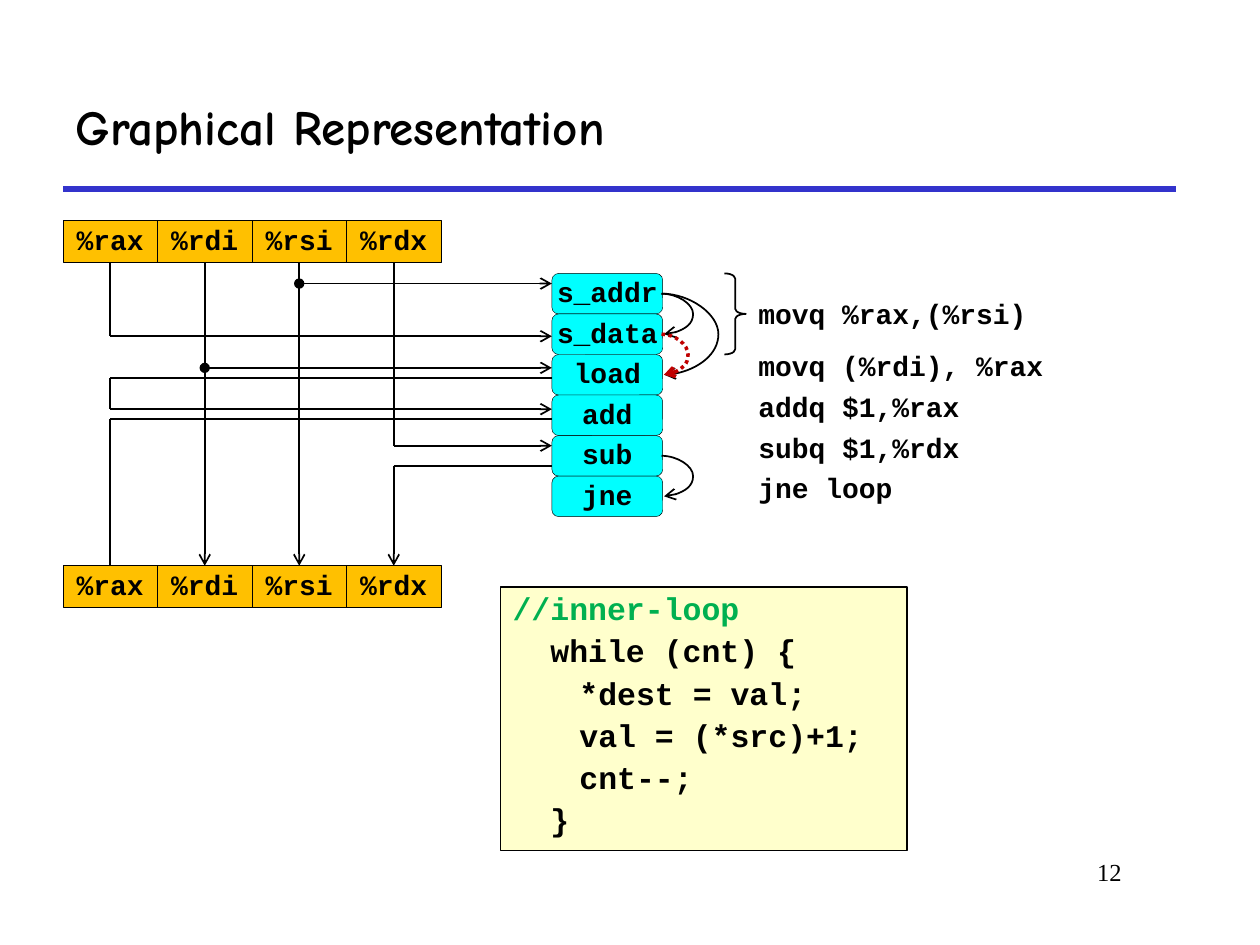
from collections import namedtuple

from lxml import etree
from pptx import Presentation
from pptx.dml.color import RGBColor
from pptx.enum.dml import MSO_LINE
from pptx.enum.shapes import MSO_CONNECTOR, MSO_SHAPE
from pptx.enum.text import MSO_ANCHOR, PP_ALIGN
from pptx.oxml.ns import qn
from pptx.util import Inches, Pt

STRAIGHT, CURVE = MSO_CONNECTOR.STRAIGHT, MSO_CONNECTOR.CURVE
RECT, ROUNDED, BRACE = MSO_SHAPE.RECTANGLE, MSO_SHAPE.ROUNDED_RECTANGLE, MSO_SHAPE.RIGHT_BRACE
LEFT, CENTER, RIGHT = PP_ALIGN.LEFT, PP_ALIGN.CENTER, PP_ALIGN.RIGHT
MIDDLE, TOP = MSO_ANCHOR.MIDDLE, MSO_ANCHOR.TOP
DOTTED = MSO_LINE.ROUND_DOT

BLACK = RGBColor(0x00, 0x00, 0x00)
RULE_BLUE = RGBColor(0x33, 0x33, 0xCC)
REGISTER_GOLD = RGBColor(0xFF, 0xC0, 0x00)
UNIT_CYAN = RGBColor(0x00, 0xFF, 0xFF)
CODE_CREAM = RGBColor(0xFF, 0xFF, 0xCC)
COMMENT_GREEN = RGBColor(0x00, 0xB0, 0x50)
DEPENDENCY_RED = RGBColor(0xC0, 0x00, 0x00)

CODE_FONT = "Courier New"
REGISTERS = ["%rax", "%rdi", "%rsi", "%rdx"]
UNITS = ["s_addr", "s_data", "load", "add", "sub", "jne"]
LOOP_CODE = ["//inner-loop", "  while (cnt) {", "\t *dest = val;",
             " \t val = (*src)+1;", "\t cnt--;", "  }"]

Box = namedtuple("Box", "left top width height")
TITLE = Box(0.5, 0.5, 8.83, 1)
REGISTERS_IN = Box(0.5, 1.75, 3, 0.33)
REGISTERS_OUT = REGISTERS_IN._replace(top=4.49)
STACK = Box(4.38, 2.17, 0.88, 1.93)
INSTRUCTIONS = Box(5.92, 2.34, 3.75, 1.71)
LOOP = Box(3.97, 4.66, 3.23, 2.09)
PAGE_NUMBER = Box(7.58, 6.75, 1.42, 0.5)
ROW = STACK.height / len(UNITS)


def inches(*lengths):
    return [Inches(length) for length in lengths]


def style_paragraph(paragraph, size, font=CODE_FONT, align=LEFT, bold=True, color=BLACK):
    paragraph.alignment = align
    paragraph.font.name, paragraph.font.size = font, Pt(size)
    paragraph.font.bold, paragraph.font.color.rgb = bold, color


def add_cell(slide, preset, box, fill, weight):
    cell = slide.shapes.add_shape(preset, *inches(*box))
    cell.shadow.inherit = False
    cell.fill.solid()
    cell.fill.fore_color.rgb = fill
    cell.line.color.rgb, cell.line.width = BLACK, Pt(weight)
    return cell


def add_label_cell(slide, preset, box, fill, label):
    frame = add_cell(slide, preset, box, fill, 0.25).text_frame
    frame.margin_left = frame.margin_right = frame.margin_top = frame.margin_bottom = 0
    frame.vertical_anchor = MIDDLE
    frame.text = label
    frame.paragraphs[0].line_spacing = 0.9
    style_paragraph(frame.paragraphs[0], 16, align=CENTER)


def add_text(slide, box, text, anchor, **style):
    frame = slide.shapes.add_textbox(*inches(*box)).text_frame
    frame.word_wrap = True
    frame.vertical_anchor = anchor
    frame.text = text
    style_paragraph(frame.paragraphs[0], **style)
    return frame.paragraphs[0]


def add_wire(slide, start, end, head=None, tail=None, kind=STRAIGHT,
             color=BLACK, weight=1, dash=None):
    wire = slide.shapes.add_connector(kind, *inches(*start, *end))
    wire.line.color.rgb, wire.line.width = color, Pt(weight)
    if dash:
        wire.line.dash_style = dash
    properties = wire._element.spPr
    outline = properties.find(qn("a:ln"))
    for tag, mark in (("a:headEnd", head), ("a:tailEnd", tail)):
        if mark:
            etree.SubElement(outline, qn(tag), type=mark)
    etree.SubElement(properties, qn("a:effectLst"))
    return wire


def add_dependency(slide, stack, first_row, last_row, bulge, **style):
    """Curved arrow on the right of the stack, between two rows."""
    left, run = stack.left + stack.width - 0.01, 0.02
    arc = add_wire(slide, (left, stack.top + first_row * ROW),
                   (left + run, stack.top + last_row * ROW),
                   tail="arrow", kind=CURVE, **style)
    guides = arc._element.spPr.find(qn("a:prstGeom")).get_or_add_avLst()
    etree.SubElement(guides, qn("a:gd"), name="adj1",
                     fmla=f"val {round(bulge / run * 100000)}")


def add_title(slide, box):
    title = slide.shapes.title
    title.left, title.top, title.width, title.height = inches(*box)
    title.text_frame.text = "Graphical Representation"
    title.text_frame.vertical_anchor = MIDDLE
    style_paragraph(title.text_frame.paragraphs[0], 28, font="Comic Neue")
    base = box.top + box.height
    add_wire(slide, (box.left, base), (box.left + box.width, base),
             color=RULE_BLUE, weight=3)


def add_registers(slide, box):
    width = box.width / len(REGISTERS)
    for column, register in enumerate(REGISTERS):
        cell = box._replace(left=box.left + column * width, width=width)
        add_label_cell(slide, RECT, cell, REGISTER_GOLD, register)


def add_units(slide, stack):
    for row, unit in enumerate(UNITS):
        cell = stack._replace(top=stack.top + row * ROW, height=ROW)
        add_label_cell(slide, ROUNDED, cell, UNIT_CYAN, unit)


def add_data_flow(slide, source, target, stack):
    """Wires from the upper registers through the units to the lower ones."""
    width = source.width / len(REGISTERS)
    rax, rdi, rsi, rdx = (source.left + (column + 0.5) * width
                          for column in range(len(REGISTERS)))
    start, end = source.top + source.height, target.top

    def level(row):
        return stack.top + row * ROW

    drops = [(rax, start, level(1.55), None), (rdi, start, end, "arrow"),
             (rsi, start, end, "arrow"), (rdx, start, level(4.25), None),
             (rax, level(2.58), level(3.35), None), (rax, level(3.6), end, None),
             (rdx, level(4.75), end, "arrow")]
    for x, top, bottom, tail in drops:
        add_wire(slide, (x, top), (x, bottom), tail=tail)

    branches = [(rsi, 0.25, "oval", "arrow"), (rax, 1.55, None, "arrow"),
                (rdi, 2.33, "oval", "arrow"), (rax, 2.58, None, None),
                (rax, 3.35, None, "arrow"), (rax, 3.6, None, None),
                (rdx, 4.25, None, "arrow"), (rdx, 4.75, None, None)]
    for x, row, head, tail in branches:
        add_wire(slide, (x, level(row)), (stack.left, level(row)), head, tail)


def add_dependencies(slide, stack):
    add_dependency(slide, stack, 0.5, 1.5, 0.25)
    add_dependency(slide, stack, 0.5, 2.5, 0.45)
    add_dependency(slide, stack, 1.5, 2.5, 0.21, color=DEPENDENCY_RED,
                   weight=2, dash=DOTTED)
    add_dependency(slide, stack, 4.5, 5.5, 0.25)


def add_instructions(slide, box, stack):
    brace = slide.shapes.add_shape(
        BRACE, *inches(box.left - 0.17, stack.top, 0.17, 2 * ROW))
    brace.shadow.inherit = False
    brace.fill.background()
    brace.line.color.rgb, brace.line.width = BLACK, Pt(1)
    brace.adjustments[0] = 0.24

    height = 0.33
    last_top = box.top + box.height - height
    following = ["movq (%rdi), %rax", "addq $1,%rax", "subq $1,%rdx", "jne loop"]
    lines = [(box.top, "movq %rax,(%rsi)")]
    lines += [(last_top - (len(following) - 1 - row) * ROW, instruction)
              for row, instruction in enumerate(following)]
    for top, instruction in lines:
        line = add_text(slide, box._replace(top=top, height=height),
                        instruction, MIDDLE, size=16)
        line.line_spacing = 0.9


def add_loop_code(slide, box):
    frame = add_cell(slide, RECT, box, CODE_CREAM, 0.75).text_frame
    frame.vertical_anchor = TOP
    frame.text = "\n".join(LOOP_CODE)
    for number, paragraph in enumerate(frame.paragraphs):
        hanging = paragraph._p.get_or_add_pPr()
        hanging.set("marL", str(Inches(0.38)))
        hanging.set("indent", str(-Inches(0.38)))
        paragraph.line_spacing = 0.9
        if number:
            paragraph.space_before = Pt(4.7)
        style_paragraph(paragraph, 18, color=BLACK if number else COMMENT_GREEN)


def main():
    deck = Presentation()
    deck.slide_width, deck.slide_height = inches(10, 7.5)
    slide = deck.slides.add_slide(deck.slide_layouts[5])
    add_title(slide, TITLE)
    add_registers(slide, REGISTERS_IN)
    add_registers(slide, REGISTERS_OUT)
    add_units(slide, STACK)
    add_data_flow(slide, REGISTERS_IN, REGISTERS_OUT, STACK)
    add_dependencies(slide, STACK)
    add_instructions(slide, INSTRUCTIONS, STACK)
    add_loop_code(slide, LOOP)
    add_text(slide, PAGE_NUMBER, "12", TOP, size=14, font="Times New Roman",
             align=RIGHT, bold=False)
    deck.save("out.pptx")


if __name__ == "__main__":
    main()
